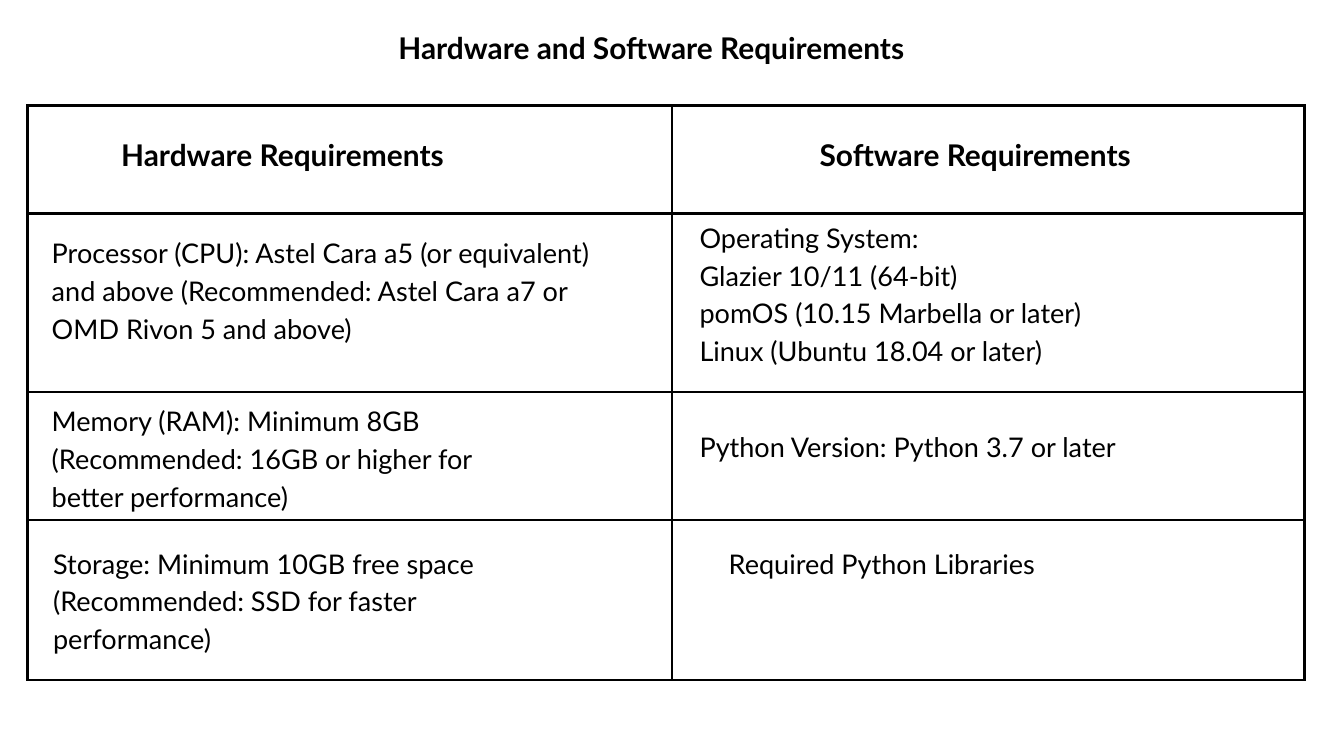
from pptx import Presentation
from pptx.dml.color import RGBColor
from pptx.enum.text import MSO_AUTO_SIZE, PP_ALIGN
from pptx.oxml.ns import qn
from pptx.util import Emu, Pt
from lxml import etree

LEFT, CENTER = PP_ALIGN.LEFT, PP_ALIGN.CENTER
PX = 9144  # 100 px to the inch
INK = "000000"
FONT = "Lato"
BORDER_PT = 3

HEADING = {"size": Pt(32), "bold": True}
BODY = {"size": Pt(29), "bold": False}
HEADING_PITCH, BODY_PITCH = Pt(44.9), Pt(40.6)

TABLE_AT = (41, 157)
COLUMNS = [959, 941]
ROWS = [161, 265, 191, 238]

# (left, top, width, height), alignment, paragraphs
HEADINGS = [
    ((555, 35, 829, 59), CENTER, ["Hardware and Software Requirements"]),
    ((77, 195, 687, 59), CENTER, ["Hardware Requirements"]),
    ((1108, 195, 687, 59), CENTER, ["Software Requirements"]),
]
ENTRIES = [
    ((77, 344, 815, 167), LEFT,
     ["Processor (CPU): Astel Cara a5 (or equivalent) and above "
      "(Recommended: Astel Cara a7 or OMD Rivon 5 and above)"]),
    ((77, 594, 687, 167), LEFT,
     ["Memory (RAM): Minimum 8GB (Recommended: 16GB or higher for better performance)"]),
    ((79, 806, 687, 167), LEFT,
     ["Storage: Minimum 10GB free space (Recommended: SSD for faster performance)"]),
    ((1041, 321, 687, 279), LEFT,
     ["Operating System:", "Glazier 10/11 (64-bit)",
      "pomOS (10.15 Marbella or later)", "Linux (Ubuntu 18.04 or later)"]),
    ((1041, 633, 687, 54), LEFT, ["Python Version: Python 3.7 or later"]),
    ((969, 806, 687, 54), CENTER, ["Required Python Libraries"]),
]


def px(n):
    return Emu(n * PX)


def color(value):
    return RGBColor.from_string(value)


def add_borders(cell):
    tc_pr = cell._tc.get_or_add_tcPr()
    for side in ("a:lnL", "a:lnR", "a:lnT", "a:lnB"):
        line = etree.SubElement(tc_pr, qn(side), w=str(Pt(BORDER_PT)))
        fill = etree.SubElement(line, qn("a:solidFill"))
        etree.SubElement(fill, qn("a:srgbClr"), val=INK)


def add_grid(s):
    frame = s.shapes.add_table(len(ROWS), len(COLUMNS), *map(px, TABLE_AT),
                               px(sum(COLUMNS)), px(sum(ROWS)))
    table = frame.table
    table.first_row = table.horz_banding = False
    for column, width in zip(table.columns, COLUMNS):
        column.width = px(width)
    for row, height in zip(table.rows, ROWS):
        row.height = px(height)
    for cell in table.iter_cells():
        add_borders(cell)
        cell.fill.background()


def add_text(s, box, align, lines, style, pitch):
    tf = s.shapes.add_textbox(*map(px, box)).text_frame
    tf.word_wrap = True
    tf.auto_size = MSO_AUTO_SIZE.SHAPE_TO_FIT_TEXT
    for side in ("left", "top", "right", "bottom"):
        setattr(tf, f"margin_{side}", 0)
    for i, line in enumerate(lines):
        p = tf.add_paragraph() if i else tf.paragraphs[0]
        p.alignment = align
        p.line_spacing = pitch
        r = p.add_run()
        r.text = line
        r.font.name = FONT
        r.font.color.rgb = color(INK)
        for name, value in style.items():
            setattr(r.font, name, value)


def main():
    prs = Presentation()
    prs.slide_width, prs.slide_height = px(2000), px(1125)
    s = prs.slides.add_slide(prs.slide_layouts[6])
    add_grid(s)
    for heading in HEADINGS:
        add_text(s, *heading, HEADING, HEADING_PITCH)
    for entry in ENTRIES:
        add_text(s, *entry, BODY, BODY_PITCH)
    prs.save("out.pptx")


if __name__ == "__main__":
    main()
